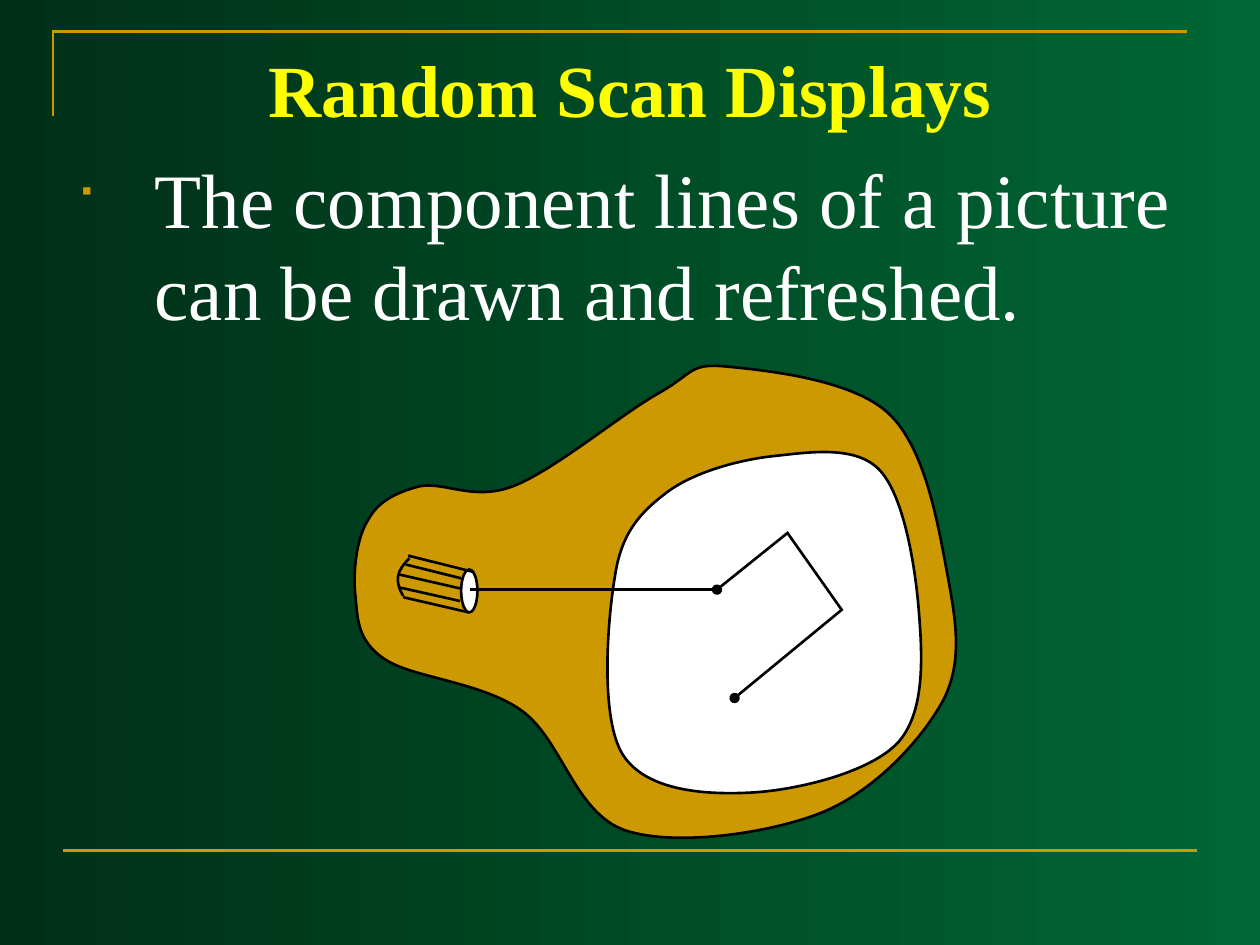
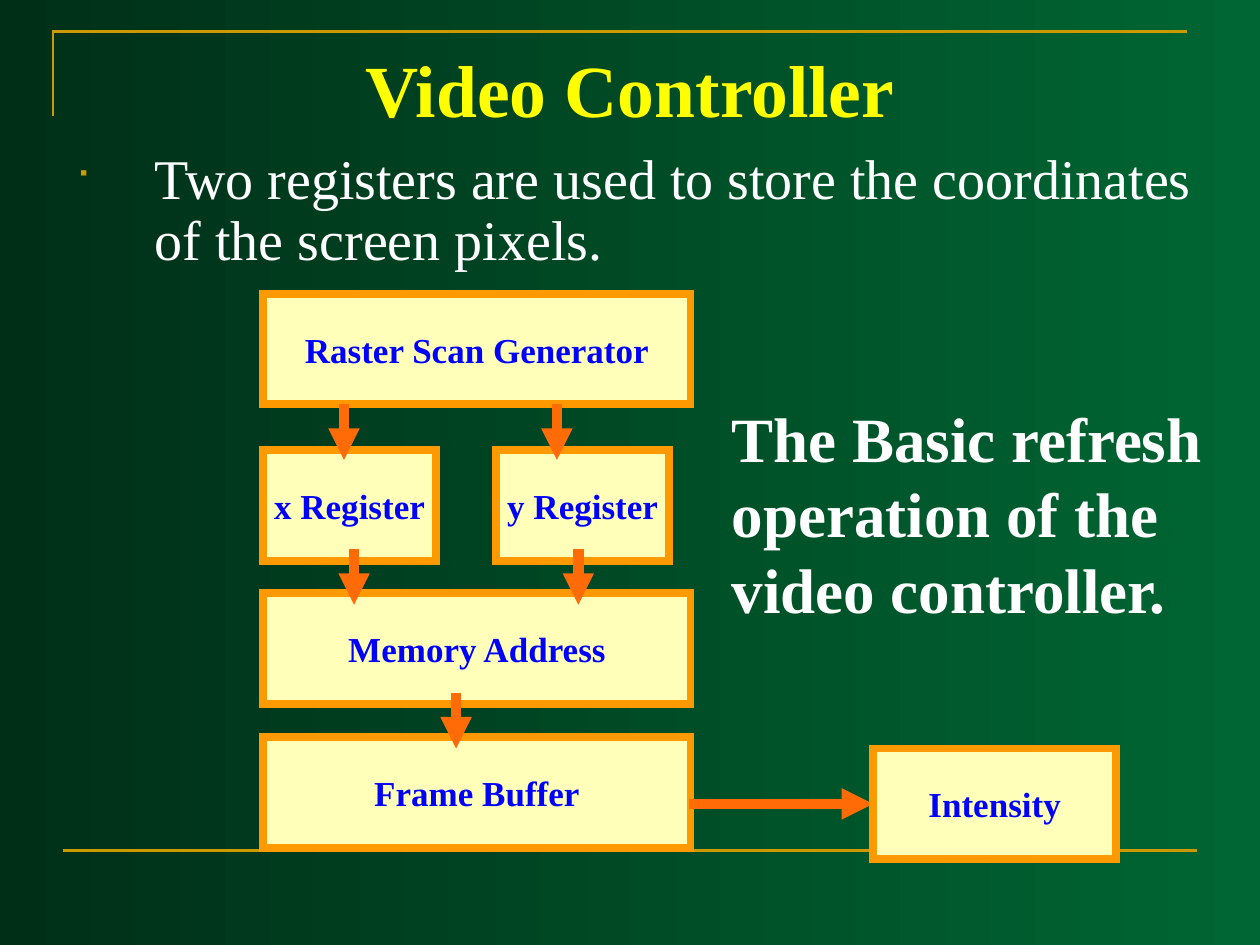
from lxml import etree
from pptx import Presentation
from pptx import util as u
from pptx.dml import color
from pptx.enum import shapes, text
from pptx.oxml import ns

FONT = "Times New Roman"
GOLD, WHITE, BLACK, YELLOW = "CC9900", "FFFFFF", "000000", "FFFF00"
BOX_FILL, BOX_EDGE, BOX_TEXT, ARROW = "FFFFB9", "FF9900", "0000FF", "FF6B07"
BACKDROP = ("002F18", "006633")

CORNER = [(0.42, 0.92), (0.42, 0.25), (9.42, 0.25)]
BOTTOM_RULE = (0.5, 6.75, 9.5, 6.75)

RANDOM_SCAN = {
    "title": "Random Scan Displays",
    "point": "The component lines of a picture can be drawn and refreshed.",
    "size": 44,
    "spacing": 1.0,
}
VIDEO = {
    "title": "Video Controller",
    "point": "Two registers are used to store the coordinates of the screen pixels.",
    "size": 32,
    "spacing": 0.9,
}
REFRESH_NOTE = "The Basic refresh operation of the video controller."

TUBE = [
    (2.92, 4.13),
    (3, 3.98), (3.14, 3.91), (3.33, 3.86),
    (3.52, 3.82), (3.76, 3.98), (4.07, 3.86),
    (4.39, 3.74), (4.94, 3.28), (5.23, 3.12),
    (5.51, 2.96), (5.47, 2.88), (5.77, 2.91),
    (6.08, 2.94), (6.76, 3.01), (7.05, 3.28),
    (7.34, 3.55), (7.44, 4.14), (7.51, 4.51),
    (7.58, 4.89), (7.65, 5.23), (7.49, 5.55),
    (7.32, 5.87), (6.94, 6.28), (6.52, 6.45),
    (6.09, 6.62), (5.35, 6.72), (4.96, 6.59),
    (4.56, 6.45), (4.46, 5.87), (4.14, 5.64),
    (3.82, 5.41), (3.27, 5.38), (3.05, 5.23),
    (2.83, 5.08), (2.84, 4.91), (2.82, 4.72),
    (2.8, 4.54), (2.83, 4.27), (2.92, 4.13),
]
SCREEN = [
    (4.88, 4.58),
    (4.93, 4.23), (5.08, 4.07), (5.29, 3.91),
    (5.5, 3.75), (5.86, 3.65), (6.14, 3.62),
    (6.42, 3.59), (6.79, 3.53), (6.98, 3.73),
    (7.17, 3.93), (7.26, 4.47), (7.29, 4.82),
    (7.32, 5.18), (7.35, 5.64), (7.13, 5.89),
    (6.91, 6.13), (6.33, 6.27), (5.97, 6.29),
    (5.6, 6.31), (5.14, 6.28), (4.95, 6),
    (4.76, 5.72), (4.82, 4.93), (4.88, 4.58),
]
GUN_MOUTH = (3.66, 4.52, 0.13, 0.34)
GUN_BACK = [(3.25, 4.43), (3.21, 4.47), (3.17, 4.52), (3.16, 4.57),
            (3.15, 4.62), (3.17, 4.68), (3.2, 4.73)]
GUN_LINES = [
    (3.2, 4.74, 3.72, 4.86),
    (3.24, 4.41, 3.76, 4.54),
    (3.17, 4.56, 3.65, 4.67),
    (3.16, 4.66, 3.65, 4.77),
    (3.22, 4.48, 3.66, 4.59),
]
BEAM = (3.73, 4.68, 5.69, 4.68)
DRAWN_LINE = [(5.69, 4.68), (6.25, 4.23), (6.68, 4.84), (5.83, 5.54)]

BOX_HEIGHT, WIDE, NARROW, LEFT = 0.88, 3.39, 1.37, 2.09
STAGE_TOPS = [2.33, 3.57, 4.71, 5.85]
STAGES = [
    [("Raster Scan Generator", LEFT, WIDE)],
    [("x Register", LEFT, NARROW), ("y Register", 3.94, NARROW)],
    [("Memory Address", LEFT, WIDE)],
    [("Frame Buffer", LEFT, WIDE)],
]
DROP = 0.44
DROPS = [(3.21, [2.73, 4.42]), (4.36, [2.81, 4.59]), (5.5, [3.62])]
OUTPUT_ARROW = (5.47, 6.38, 6.93, 6.38)
INTENSITY = ("Intensity", 6.93, 1.93, 5.94)


def rgb(value):
    return color.RGBColor.from_string(value)


def inches(*values):
    return [u.Inches(value) for value in values]


def set_line(shape, hue, width, **ends):
    shape.line.color.rgb = rgb(hue)
    shape.line.width = u.Pt(width)
    ln = shape._element.spPr.find(ns.qn("a:ln"))
    etree.SubElement(ln, ns.qn("a:miter"), lim="800000")
    for end in ("headEnd", "tailEnd"):
        if end in ends:
            etree.SubElement(ln, ns.qn("a:" + end), type=ends[end])


def set_fill(shape, hue):
    if hue:
        shape.fill.solid()
        shape.fill.fore_color.rgb = rgb(hue)
    else:
        shape.fill.background()


def line(slide, ends, hue=BLACK, width=1.5, **heads):
    stroke = slide.shapes.add_connector(shapes.MSO_CONNECTOR.STRAIGHT, *inches(*ends))
    set_line(stroke, hue, width, **heads)
    etree.SubElement(stroke._element.spPr, ns.qn("a:effectLst"))


def outline(slide, points, fill=None, hue=BLACK, **ends):
    start, *rest = [inches(*point) for point in points]
    builder = slide.shapes.build_freeform(*start)
    builder.add_line_segments(rest, close=fill is not None)
    shape = builder.convert_to_shape()
    shape.shadow.inherit = False
    set_fill(shape, fill)
    set_line(shape, hue, 1.5, **ends)
    return shape


def curve(slide, knots, fill=None):
    shape = outline(slide, knots, fill)
    segments = list(shape._element.iter(ns.qn("a:lnTo")))
    for i in range(0, len(segments), 3):
        bend = etree.Element(ns.qn("a:cubicBezTo"))
        segments[i].addprevious(bend)
        for segment in segments[i:i + 3]:
            bend.append(segment[0])
            segment.getparent().remove(segment)


def solid(slide, kind, place, fill, hue, width):
    shape = slide.shapes.add_shape(kind, *inches(*place))
    shape.shadow.inherit = False
    set_fill(shape, fill)
    set_line(shape, hue, width)
    return shape


def write(frame, words, size, hue, bold=False, align=text.PP_ALIGN.LEFT):
    frame.text = words
    paragraph = frame.paragraphs[0]
    paragraph.alignment = align
    font = paragraph.runs[0].font
    font.name, font.size, font.bold = FONT, u.Pt(size), bold
    font.color.rgb = rgb(hue)
    return paragraph


def text_box(slide, place, *words, **style):
    frame = slide.shapes.add_textbox(*inches(*place)).text_frame
    frame.word_wrap = True
    return write(frame, *words, **style)


def add_bullet(paragraph):
    props = paragraph._p.get_or_add_pPr()
    props.set("marL", str(u.Inches(0.63)))
    props.set("indent", str(u.Inches(-0.63)))
    hue = etree.SubElement(props, ns.qn("a:buClr"))
    etree.SubElement(hue, ns.qn("a:srgbClr"), val=GOLD)
    etree.SubElement(props, ns.qn("a:buSzPct"), val="65000")
    etree.SubElement(props, ns.qn("a:buFont"), typeface="Wingdings")
    etree.SubElement(props, ns.qn("a:buChar"), char="■")


def start_slide(deck, content):
    slide = deck.slides.add_slide(deck.slide_layouts[6])
    outline(slide, CORNER, hue=GOLD)
    line(slide, BOTTOM_RULE, GOLD)
    text_box(slide, (0.5, 0.3, 9, 1.25), content["title"], 42, YELLOW,
             bold=True, align=text.PP_ALIGN.CENTER)
    point = text_box(slide, (0.5, 1.15, 9.15, 5.55), content["point"],
                     content["size"], WHITE)
    point.line_spacing = content["spacing"]
    add_bullet(point)
    return slide


def draw_tube(slide):
    curve(slide, TUBE, GOLD)
    curve(slide, SCREEN, WHITE)
    solid(slide, shapes.MSO_SHAPE.OVAL, GUN_MOUTH, WHITE, BLACK, 1.5)
    curve(slide, GUN_BACK)
    for ends in GUN_LINES + [BEAM]:
        line(slide, ends)
    outline(slide, DRAWN_LINE, headEnd="oval", tailEnd="oval")


def stage_box(slide, label, left, width, top):
    box = solid(slide, shapes.MSO_SHAPE.RECTANGLE, (left, top, width, BOX_HEIGHT),
                BOX_FILL, BOX_EDGE, 4.5)
    box.text_frame.word_wrap = False
    box.text_frame.vertical_anchor = text.MSO_ANCHOR.MIDDLE
    write(box.text_frame, label, 20, BOX_TEXT, bold=True, align=text.PP_ALIGN.CENTER)


def draw_controller(slide):
    for top, stage in zip(STAGE_TOPS, STAGES):
        for label, left, width in stage:
            stage_box(slide, label, left, width, top)
    arrows = [(x, top, x, top + DROP) for top, columns in DROPS for x in columns]
    for ends in arrows + [OUTPUT_ARROW]:
        line(slide, ends, ARROW, 6, tailEnd="triangle")
    stage_box(slide, *INTENSITY)
    text_box(slide, (5.71, 3.12, 3.94, 2.5), REFRESH_NOTE, 36, WHITE, bold=True)


def main():
    deck = Presentation()
    deck.slide_width, deck.slide_height = inches(10, 7.5)
    backdrop = deck.slide_master.background.fill
    backdrop.gradient()
    backdrop.gradient_angle = 0
    for stop, hue, position in zip(backdrop.gradient_stops, BACKDROP, (0, 1)):
        stop.color.rgb = rgb(hue)
        stop.position = position
    draw_tube(start_slide(deck, RANDOM_SCAN))
    draw_controller(start_slide(deck, VIDEO))
    deck.save("out.pptx")


if __name__ == "__main__":
    main()
